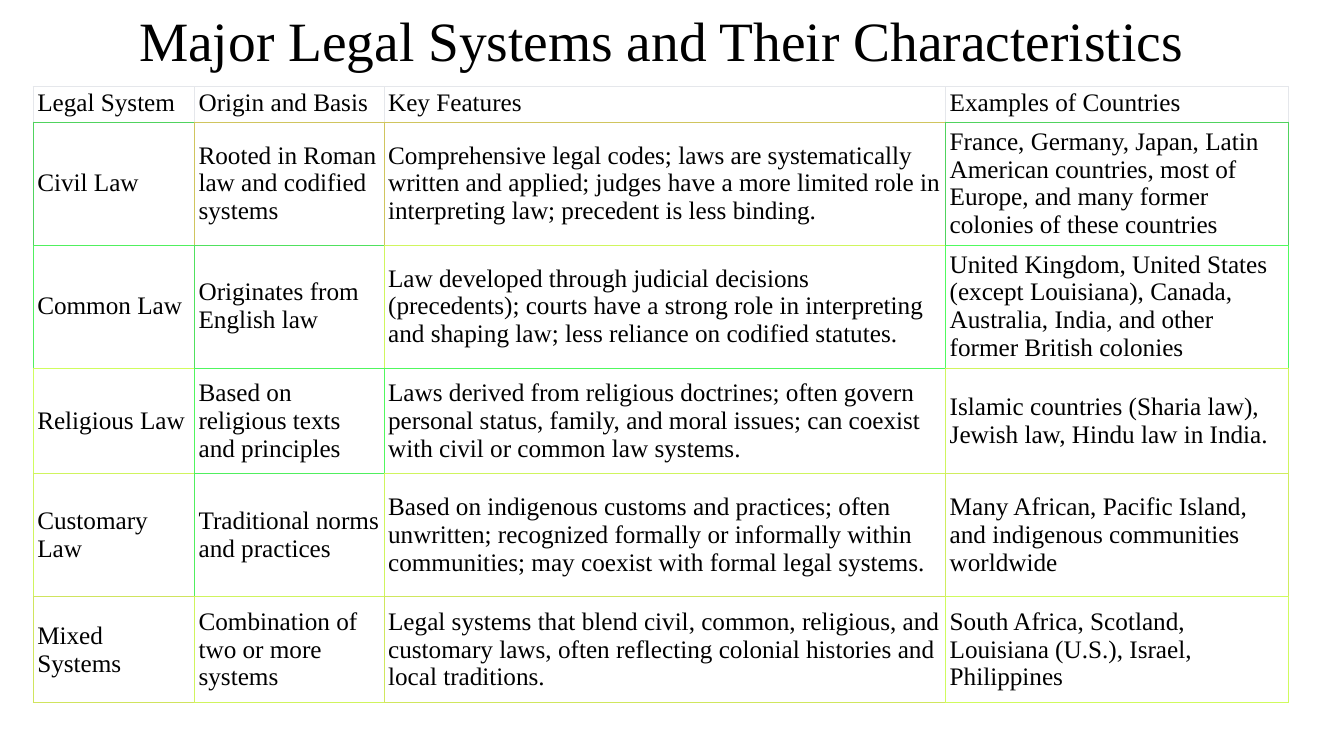
from lxml import etree
from pptx import Presentation
from pptx.dml.color import RGBColor
from pptx.enum.text import MSO_ANCHOR, PP_ALIGN
from pptx.oxml.ns import qn
from pptx.util import Inches, Pt

MIDDLE, TOP = MSO_ANCHOR.MIDDLE, MSO_ANCHOR.TOP
CENTER = PP_ALIGN.CENTER
FONT = "Times New Roman"
BLACK = RGBColor(0x00, 0x00, 0x00)
HEADER_LINE = RGBColor(0xE5, 0xE7, 0xEB)

COLUMN_WIDTHS = [1.6, 1.88, 5.57, 3.4]
ROW_HEIGHTS = [0.35, 1.22, 1.22, 1.05, 1.22, 1.05]
ROWS = [
    ["Legal System", "Origin and Basis", "Key Features", "Examples of Countries"],
    ["Civil Law", "Rooted in Roman law and codified systems",
     "Comprehensive legal codes; laws are systematically written and applied; "
     "judges have a more limited role in interpreting law; precedent is less binding.",
     "France, Germany, Japan, Latin American countries, most of Europe, "
     "and many former colonies of these countries"],
    ["Common Law", "Originates from English law",
     "Law developed through judicial decisions (precedents); courts have a strong role "
     "in interpreting and shaping law; less reliance on codified statutes.",
     "United Kingdom, United States (except Louisiana), Canada, Australia, India, "
     "and other former British colonies"],
    ["Religious Law", "Based on religious texts and principles",
     "Laws derived from religious doctrines; often govern personal status, family, "
     "and moral issues; can coexist with civil or common law systems.",
     "Islamic countries (Sharia law), Jewish law, Hindu law in India."],
    ["Customary Law", "Traditional norms and practices",
     "Based on indigenous customs and practices; often unwritten; recognized formally "
     "or informally within communities; may coexist with formal legal systems.",
     "Many African, Pacific Island, and indigenous communities worldwide"],
    ["Mixed Systems", "Combination of two or more systems",
     "Legal systems that blend civil, common, religious, and customary laws, "
     "often reflecting colonial histories and local traditions.",
     "South Africa, Scotland, Louisiana (U.S.), Israel, Philippines"],
]
# Each cell owns its left and top line; the neighbours supply the other two
LINE_COLORS = [[HEADER_LINE] * 4] + [
    [RGBColor.from_string(color) for color in row.split()]
    for row in (
        "50D35E D0C55E D0C55E 50D35E",
        "50F05E 50E15E D0F65E 50FB5E",
        "D0FD5E 50F65E 50F95E D0F55E",
        "D0F45E 50EF5E D0F55E D0ED5E",
        "D0E45E D0F45E D0E75E D0FB5E",
    )
]


def add_border(cell, side, color):
    """Draw one side (L, R, T or B); header grey is 1 pt, the rest 0.5 pt."""
    width = Pt(1) if color == HEADER_LINE else Pt(0.5)
    line = etree.SubElement(cell._tc.get_or_add_tcPr(), qn(f"a:ln{side}"), w=str(width))
    fill = etree.SubElement(line, qn("a:solidFill"))
    etree.SubElement(fill, qn("a:srgbClr"), val=str(color))


def format_text(para, size):
    for span in para.runs:
        span.font.name = FONT
        span.font.size = Pt(size)
        span.font.color.rgb = BLACK


deck = Presentation()
deck.slide_width, deck.slide_height = Inches(13.33), Inches(7.5)
page = deck.slides.add_slide(deck.slide_layouts[5])

title = page.shapes.title
title.left, title.top = Inches(0.81), Inches(0.14)
title.width, title.height = Inches(11.5), Inches(0.59)
title.text_frame.text = "Major Legal Systems and Their Characteristics"
title.text_frame.vertical_anchor = MIDDLE
heading = title.text_frame.paragraphs[0]
heading.alignment = CENTER
heading.line_spacing = 0.9
format_text(heading, 39.6)

table = page.shapes.add_table(
    len(ROWS), len(COLUMN_WIDTHS), Inches(0.33), Inches(0.86),
    Inches(sum(COLUMN_WIDTHS)), Inches(sum(ROW_HEIGHTS))).table
table.first_row = False
table.horz_banding = False
for column, width in zip(table.columns, COLUMN_WIDTHS):
    column.width = Inches(width)
for row, height in zip(table.rows, ROW_HEIGHTS):
    row.height = Inches(height)

last_row, last_column = len(ROWS) - 1, len(COLUMN_WIDTHS) - 1
for r, texts in enumerate(ROWS):
    for c, text in enumerate(texts):
        cell = table.cell(r, c)
        cell.text = text
        format_text(cell.text_frame.paragraphs[0], 18)
        cell.vertical_anchor = MIDDLE if r else TOP
        cell.margin_left = cell.margin_right = Inches(0.04)
        cell.margin_top = cell.margin_bottom = Inches(0.02)
        own = LINE_COLORS[r][c]
        add_border(cell, "L", own)
        add_border(cell, "R", LINE_COLORS[r][min(c + 1, last_column)])
        add_border(cell, "T", own)
        add_border(cell, "B", LINE_COLORS[min(r + 1, last_row)][c])
        cell.fill.background()

deck.save("out.pptx")
